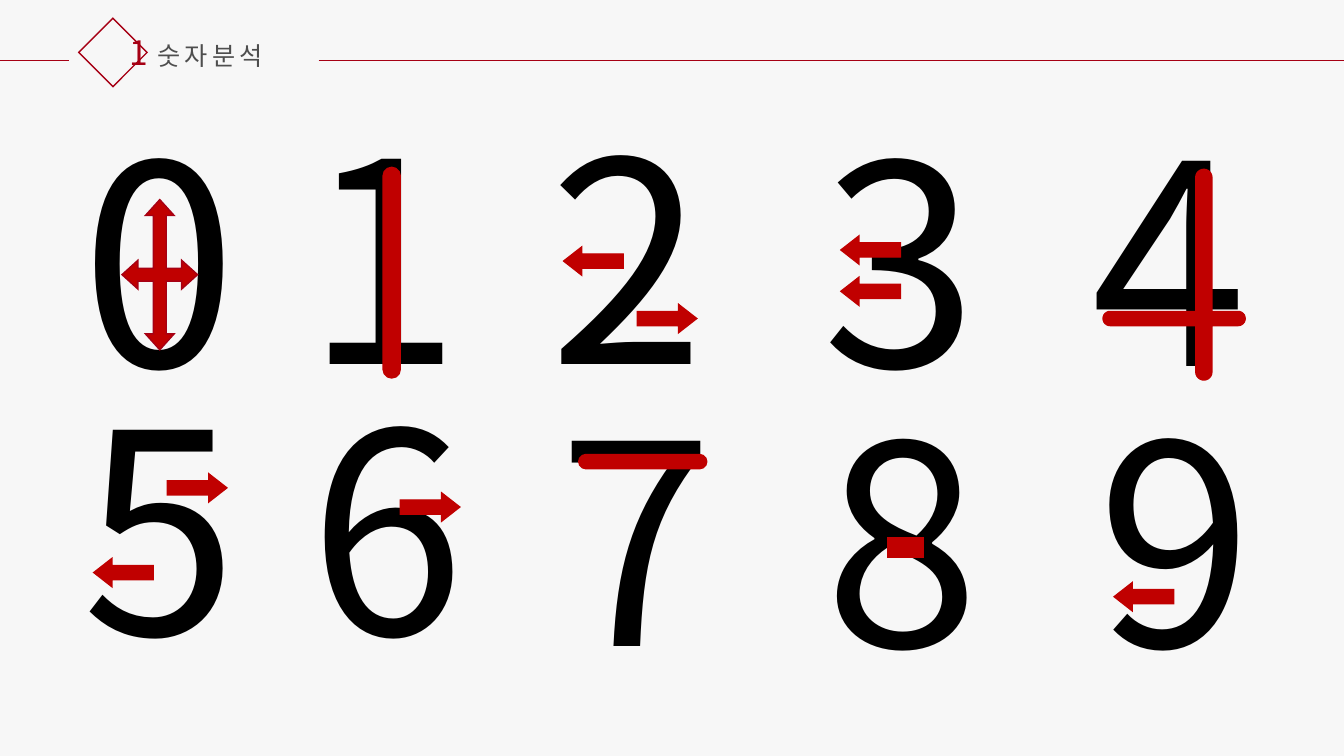
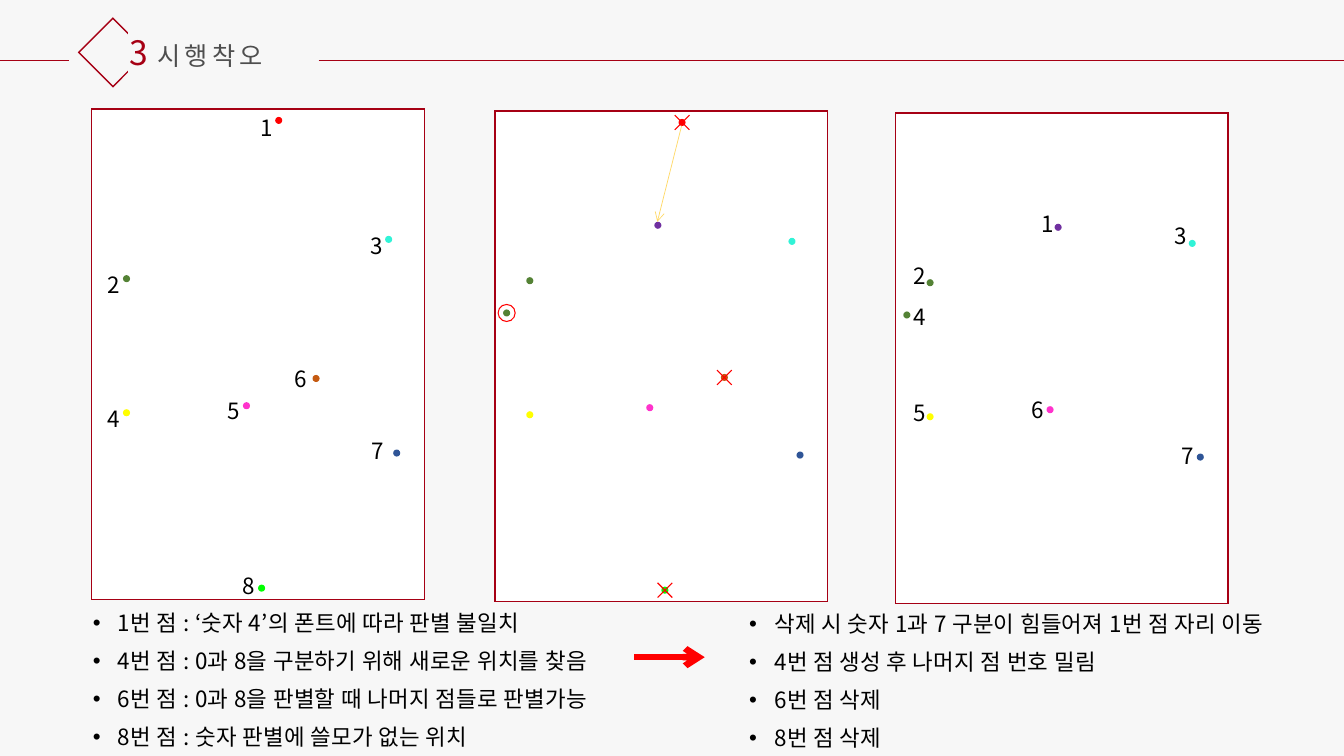
from math import cos, radians, sin

from pptx import Presentation
from pptx.dml.color import RGBColor
from pptx.enum.shapes import MSO_CONNECTOR, MSO_SHAPE
from pptx.enum.text import MSO_ANCHOR, MSO_AUTO_SIZE, PP_ALIGN
from pptx.oxml.ns import qn
from pptx.util import Pt
from lxml import etree

RECT, OVAL = MSO_SHAPE.RECTANGLE, MSO_SHAPE.OVAL
BAR, QUAD = MSO_SHAPE.ROUNDED_RECTANGLE, MSO_SHAPE.QUAD_ARROW
RIGHT, LEFT = MSO_SHAPE.RIGHT_ARROW, MSO_SHAPE.LEFT_ARROW
CROSS, RING = MSO_SHAPE.MATH_MULTIPLY, MSO_SHAPE.DONUT
STRAIGHT = MSO_CONNECTOR.STRAIGHT

# Shared style: 100 px to the inch
PX = 9144
WIDE, HIGH = 1333, 750
FONT = "Noto Sans CJK KR"
PAPER, WINE, GREY, BLACK = "F7F7F7", "A60014", "4E4E4E", "000000"
MARK, RED, WHITE, GOLD = "C00000", "FF0000", "FFFFFF", "FFD966"

# Slide 1: digits with left and top
DIGITS = [
    ("3", 806, 82), ("0", 71, 82), ("8", 808, 360), ("1", 293, 79),
    ("2", 535, 79), ("4", 1073, 81), ("5", 72, 348), ("6", 297, 348),
    ("9", 1079, 360), ("7", 544, 359),
]
BARS = [(380, 166, 17, 209), (574, 451, 127, 14)]
# Rounded ends of the cross on the 4: centre, radius, first angle,
# then the inner corner that follows
CAPS = [
    (1194, 176, 8, 180, (1202, 309)),
    (1228, 316, 7, 270, (1202, 323)),
    (1194, 369, 8, 0, (1186, 323)),
    (1101, 316, 7, 90, (1186, 309)),
]
ARROWS = [
    (RIGHT, 166, 470), (LEFT, 93, 554), (RIGHT, 397, 489),
    (LEFT, 1105, 578), (LEFT, 559, 245), (RIGHT, 632, 302),
    (LEFT, 834, 234), (LEFT, 834, 275),
]

# Slide 2: dots with place inside a panel and colour
DOTS = {
    "top": (182, 8, RED),
    "upper": (158, 110, "7030A0"),
    "right": (291, 126, "31F3D7"),
    "left": (31, 165, "548235"),
    "edge": (8, 197, "548235"),
    "low": (31, 298, "FFFF00"),
    "mid": (150, 291, "FF33CC"),
    "side": (299, 338, "2F5597"),
    "base": (165, 472, "00FF00"),
    "core": (219, 264, "C55A11"),
    "core2": (224, 261, "C55A11"),
}
COMMON = ["right", "left", "low", "mid", "side"]
PANELS = [
    {"at": (91, 108), "dots": COMMON + ["top", "base", "core"],
     "tags": [("1", 249, 108), ("2", 97, 264), ("3", 358, 225),
              ("4", 97, 397), ("5", 216, 389), ("6", 282, 357),
              ("7", 359, 429), ("8", 231, 563)]},
    {"at": (491, 110),
     "dots": COMMON + ["top", "upper", "edge", "base", "core2"],
     "cross": ["top", "base", "core2"], "ring": ["edge"]},
    {"at": (888, 112), "dots": COMMON + ["upper", "edge"],
     "tags": [("1", 1023, 204), ("2", 896, 255), ("3", 1155, 215),
              ("4", 896, 296), ("5", 896, 391), ("6", 1013, 388),
              ("7", 1162, 434)]},
]
NOTES = [
    ((82, 602, 641, 135), [
        "1번 점 : ‘숫자 4’의 폰트에 따라 판별 불일치",
        "4번 점 : 0과 8을 구분하기 위해 새로운 위치를 찾음",
        "6번 점 : 0과 8을 판별할 때 나머지 점들로 판별가능",
        "8번 점 : 숫자 판별에 쓸모가 없는 위치"]),
    ((733, 603, 600, 135), [
        "삭제 시 숫자 1과 7 구분이 힘들어져 1번 점 자리 이동",
        "4번 점 생성 후 나머지 점 번호 밀림",
        "6번 점 삭제",
        "8번 점 삭제"]),
]


def px(*vals):
    return [int(v * PX) for v in vals]


def rgb(code):
    return RGBColor.from_string(code)


def write(shape, lines, size=16, color=BLACK, gap=0, tight=None,
          hang=0, track=0):
    """Fill a text box or placeholder with left-aligned lines."""
    frame = shape.text_frame
    frame.word_wrap = True
    frame.auto_size = MSO_AUTO_SIZE.NONE
    frame.vertical_anchor = MSO_ANCHOR.TOP
    frame.text = "\n".join(lines)
    for para in frame.paragraphs:
        para.alignment = PP_ALIGN.LEFT
        para.space_before = Pt(gap)
        if tight:
            para.line_spacing = tight
        if hang:
            props = para._p.get_or_add_pPr()
            props.set("marL", str(hang * PX))
            props.set("indent", str(-hang * PX))
        for run in para.runs:
            run.font.size = Pt(size)
            run.font.name = FONT
            run.font.color.rgb = rgb(color)
            props = run._r.get_or_add_rPr()
            etree.SubElement(props, qn("a:ea"), typeface=FONT)
            if track:
                props.set("spc", str(int(track * 100)))


def label(slide, text, box, **form):
    write(slide.shapes.add_textbox(*px(*box)), [text], **form)


def place(holder, box):
    holder.left, holder.top, holder.width, holder.height = px(*box)


def paint(shape, fill=None, line=None):
    shape.shadow.inherit = False
    if fill:
        shape.fill.solid()
        shape.fill.fore_color.rgb = rgb(fill)
    else:
        shape.fill.background()
    if line:
        shape.line.color.rgb = rgb(line)
        shape.line.width = Pt(1)
        etree.SubElement(shape.line._get_or_add_ln(), qn("a:miter"),
                         lim="800000")
    else:
        shape.line.fill.background()


def draw(slide, kind, box, fill=None, line=None, adj=()):
    shape = slide.shapes.add_shape(kind, *px(*box))
    paint(shape, fill, line)
    for i, val in enumerate(adj):
        shape.adjustments[i] = val
    return shape


def rule(slide, ends, color=WINE, width=0.5, head=False):
    line = slide.shapes.add_connector(STRAIGHT, *px(*ends))
    line.line.color.rgb = rgb(color)
    line.line.width = Pt(width)
    if head:
        etree.SubElement(line.line._get_or_add_ln(), qn("a:tailEnd"),
                         type="arrow")
    etree.SubElement(line._element.spPr, qn("a:effectLst"))


def header(slide, num, title, mask=False):
    draw(slide, RECT, (88, 28, 48, 48), line=WINE).rotation = 45
    if mask:
        draw(slide, RECT, (127, 23, 48, 53), fill=PAPER)
    label(slide, num, (119, 27, 52, 50), size=24, color=WINE)
    head = slide.shapes.title
    place(head, (146, 35, 160, 40))
    write(head, [title], size=18, color=GREY, track=3)
    slide.shapes._spTree.append(head._element)  # title above the mask
    for start, end in [(316, WIDE), (0, 68)]:
        rule(slide, (start, 60, end, 60))


def plus(slide):
    """Cross with four rounded ends, as one outline."""
    dots = []
    for x, y, r, first, corner in CAPS:
        for turn in range(0, 181, 15):
            ang = radians(first + turn)
            dots.append(px(x + r * cos(ang), y + r * sin(ang)))
        dots.append(px(*corner))
    pen = slide.shapes.build_freeform(*dots[0])
    pen.add_line_segments(dots[1:], close=True)
    paint(pen.convert_to_shape(), MARK, MARK)


def digits(slide):
    header(slide, "1", "숫자분석")
    for text, x, y in DIGITS:
        label(slide, text, (x, y, 188, 347), size=200)
    draw(slide, QUAD, (121, 198, 75, 149), MARK, WINE,
         (0.17, 0.19, 0.21))
    draw(slide, RECT, (880, 533, 36, 20), MARK, MARK)
    for box in BARS:
        draw(slide, BAR, box, MARK, MARK, (0.5,))
    plus(slide)
    for kind, x, y in ARROWS:
        draw(slide, kind, (x, y, 59, 28), MARK, MARK, (0.5, 0.64))


def panel(slide, data):
    left, top = data["at"]
    draw(slide, RECT, (left, top, 330, 487), WHITE, WINE)

    def spot(key, kind, size, fill, adj=()):
        # centre every mark on its 7 px dot
        x, y, _ = DOTS[key]
        off = (size - 7) / 2
        draw(slide, kind, (left + x - off, top + y - off, size, size),
             fill, adj=adj)

    for key in data["dots"]:
        spot(key, OVAL, 7, DOTS[key][2])
    for key in data.get("cross", []):
        spot(key, CROSS, 28, RED, (0.04,))
    for key in data.get("ring", []):
        spot(key, RING, 18, RED, (0.06,))
    for text, x, y in data.get("tags", []):
        label(slide, text, (x, y, 35, 37))


def trials(slide):
    for data in PANELS:
        panel(slide, data)
    header(slide, "3", "시행착오", mask=True)
    rule(slide, (676, 125, 652, 220), GOLD, head=True)
    rule(slide, (629, 652, 699, 652), RED, 4.5, head=True)
    bodies = [b for b in slide.placeholders
              if b.placeholder_format.idx in (1, 2)]
    for body, (box, lines) in zip(bodies, NOTES):
        place(body, box)
        write(body, lines, gap=10, tight=0.9, hang=25, track=0.25)


def main():
    prs = Presentation()
    prs.slide_width, prs.slide_height = px(WIDE, HIGH)
    back = prs.slide_master.background.fill
    back.solid()
    back.fore_color.rgb = rgb(PAPER)
    for name, build in [("Title Only", digits), ("Two Content", trials)]:
        layout = prs.slide_layouts.get_by_name(name)
        build(prs.slides.add_slide(layout))
    prs.save("out.pptx")


if __name__ == "__main__":
    main()
